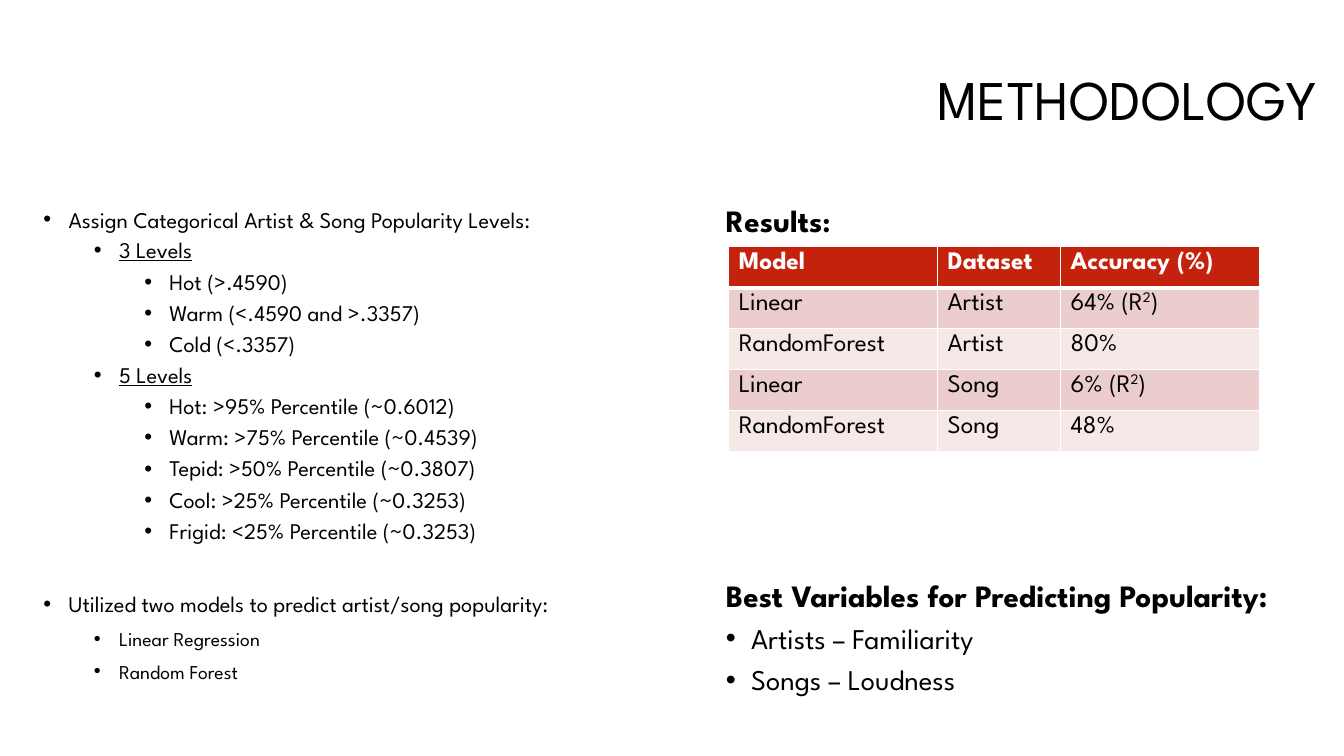
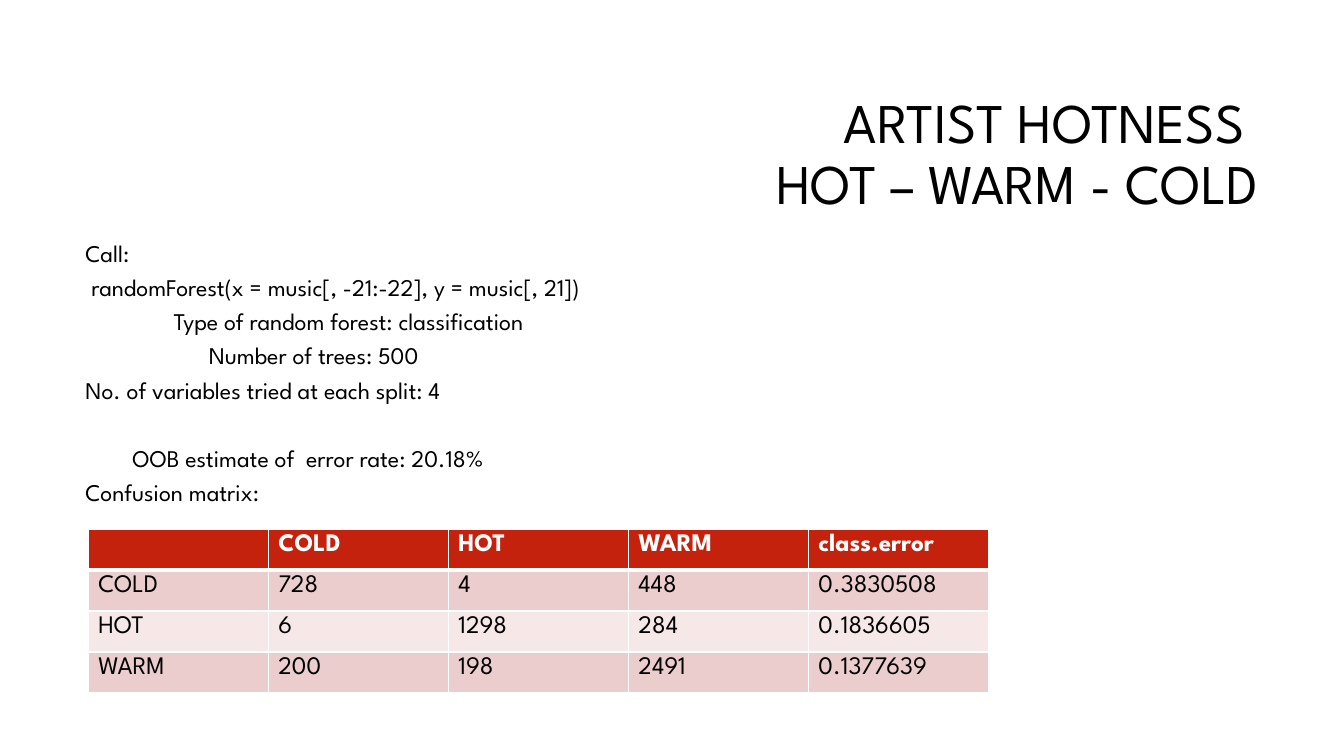
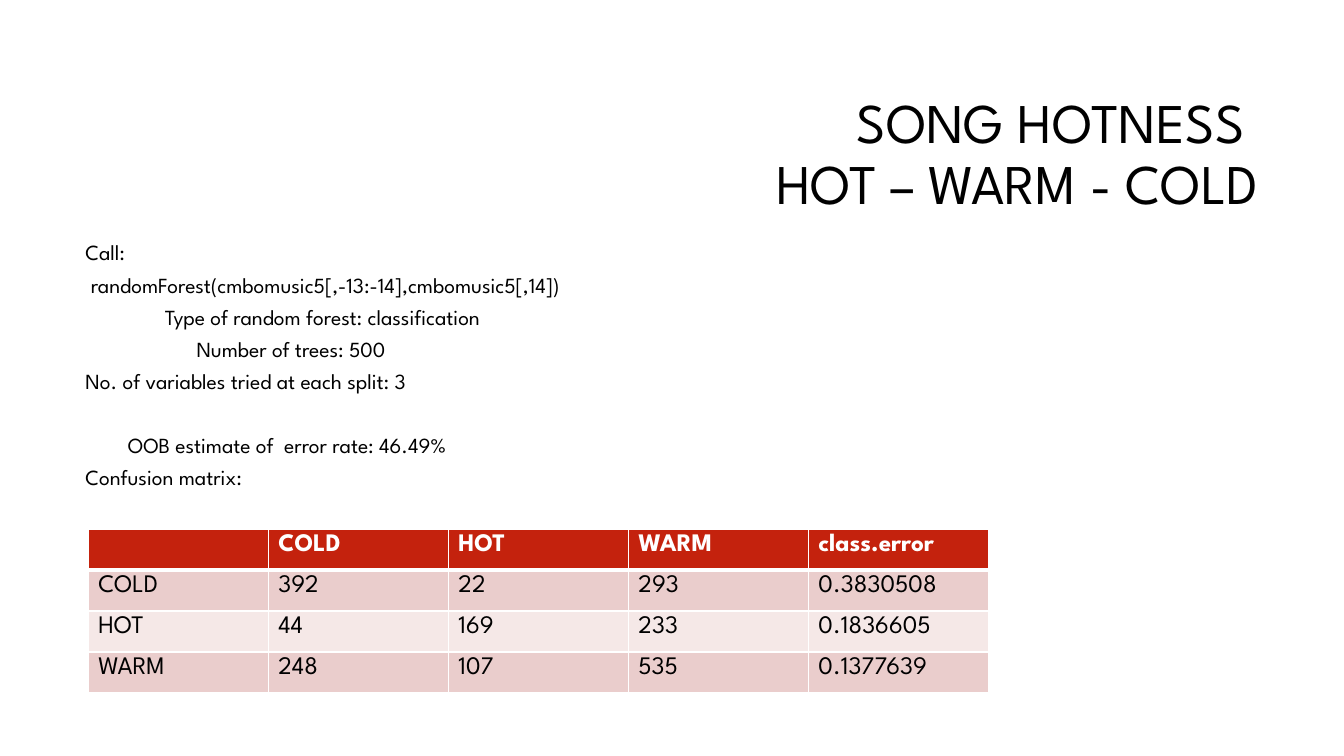
from lxml.etree import SubElement
from pptx import Presentation
from pptx.dml.color import RGBColor
from pptx.enum.text import MSO_ANCHOR, PP_ALIGN
from pptx.oxml.ns import qn
from pptx.util import Pt

# Shared style
PX = 9525
FONT = "League Spartan"
BLACK, WHITE, RED = "000000", "FFFFFF", "C4220D"
BANDS = ("EACDCC", "F5E8E7")
TITLE_SIZE, TABLE_SIZE = 40, 18
ROW_HEIGHT = 39
BULLET_HANG = 24
LINE_FACTOR = 1.2    # line height of the font, in font sizes
SPACE_WIDTH = 0.327  # width of one space, in px per point of size


def px(length):
    return round(length * PX)


def color(value):
    return RGBColor.from_string(value)


def add_span(para, text, size, fill=BLACK, bold=False, underline=False):
    span = para.add_run()
    span.text = text
    font = span.font
    font.name, font.size, font.bold = FONT, Pt(size), bold
    font.color.rgb = color(fill)
    if underline:
        font.underline = True
    return span


def add_box(page, left, top, width, height, anchor=MSO_ANCHOR.TOP, bottom_inset=5):
    frame = page.shapes.add_textbox(px(left), px(top), px(width), px(height)).text_frame
    frame.word_wrap = True
    frame.vertical_anchor = anchor
    frame.margin_bottom = px(bottom_inset)
    return frame


def add_para(frame, text, size, spacing, before=0, indent=0, level=None, **style):
    """Write one paragraph; a level gives it a bullet."""
    first = not frame.paragraphs[0].runs
    para = frame.paragraphs[0] if first else frame.add_paragraph()
    props = para._p.get_or_add_pPr()
    if level is not None:
        para.level = level
        indent = BULLET_HANG + 2 * BULLET_HANG * level
        props.set("indent", str(-px(BULLET_HANG)))
        SubElement(props, qn("a:buFont")).set("typeface", "Arial")
        SubElement(props, qn("a:buChar")).set("char", "•")
    props.set("marL", str(px(indent)))
    para.line_spacing = spacing
    para.space_before = Pt(0 if first else before)
    add_span(para, text, size, **style)


def add_title(page, lines, left, top, bottom_inset=5):
    frame = add_box(page, left, top, 904, 135, MSO_ANCHOR.MIDDLE, bottom_inset)
    para = frame.paragraphs[0]
    para.alignment = PP_ALIGN.RIGHT
    para.line_spacing = 0.9
    for number, line in enumerate(lines):
        if number:
            para.add_line_break()
        add_span(para, line, TITLE_SIZE)


def add_border(cell, side, width):
    line = SubElement(cell._tc.get_or_add_tcPr(), qn(f"a:ln{side}"))
    line.set("w", str(Pt(width)))
    fill = SubElement(line, qn("a:solidFill"))
    SubElement(fill, qn("a:srgbClr")).set("val", WHITE)


def add_grid(page, left, top, widths, rows):
    """Table with a red header; a cell given as a tuple raises every second part."""
    table = page.shapes.add_table(len(rows), len(widths), px(left), px(top),
                                  px(sum(widths)), px(ROW_HEIGHT * len(rows))).table
    for column, width in zip(table.columns, widths):
        column.width = px(width)
    for r, row in enumerate(rows):
        header = r == 0
        table.rows[r].height = px(ROW_HEIGHT)
        for c, value in enumerate(row):
            cell = table.cell(r, c)
            for side, width in (("L", 1), ("R", 1), ("T", 3 if r == 1 else 1),
                                ("B", 3 if header else 1)):
                add_border(cell, side, width)
            cell.fill.solid()
            cell.fill.fore_color.rgb = color(RED if header else BANDS[(r - 1) % 2])
            parts = value if isinstance(value, tuple) else (value,)
            for number, part in enumerate(parts):
                if not part:
                    continue
                span = add_span(cell.text_frame.paragraphs[0], part, TABLE_SIZE,
                                WHITE if header else BLACK, bold=header)
                if number % 2:
                    span._r.get_or_add_rPr().set("baseline", "30000")


def build_methodology(page):
    add_title(page, ["METHODOLOGY"], 360, 59, bottom_inset=63)

    # Popularity levels and models
    levels = add_box(page, 32, 158, 598, 531, MSO_ANCHOR.MIDDLE, bottom_inset=36)
    for level, text in (
        (0, "Assign Categorical Artist & Song Popularity Levels:"),
        (1, "3 Levels"),
        (2, "Hot (>.4590)"),
        (2, "Warm (<.4590 and >.3357)"),
        (2, "Cold (<.3357)"),
        (1, "5 Levels"),
        (2, "Hot: >95% Percentile (~0.6012)"),
        (2, "Warm: >75% Percentile (~0.4539)"),
        (2, "Tepid: >50% Percentile (~0.3807)"),
        (2, "Cool: >25% Percentile (~0.3253)"),
        (2, "Frigid: <25% Percentile (~0.3253)"),
        (0, "Utilized two models to predict artist/song popularity:"),
    ):
        add_para(levels, text, 16, 0.9 if level else 2.2, 5 if level else 10,
                 level=level, underline=level == 1)
    for model in ("Linear Regression", "Random Forest"):
        add_para(levels, model, 14, 1.1, 5, level=1)

    # Results and best variables, with room for the table between them
    results = add_box(page, 682, 194, 590, 495)
    add_para(results, "Results", 22.2, 0.8, bold=True)
    add_span(results.paragraphs[0], ":", 20.4, bold=True)
    add_para(results, "Best Variables for Predicting Popularity:", 22.2, 0.8, 246.6, bold=True)
    for text in ("Artists – Familiarity", "Songs – Loudness"):
        add_para(results, text, 20.4, 0.8, 10, level=0)
    add_grid(page, 694, 235, [199, 117, 190], [
        ("Model", "Dataset", "Accuracy (%)"),
        ("Linear", "Artist", ("64% (R", "2", ")")),
        ("RandomForest", "Artist", "80%"),
        ("Linear", "Song", ("6% (R", "2", ")")),
        ("RandomForest", "Song", "48%"),
    ])


def build_hotness(page, subject, call, tried, error_rate, size, counts):
    add_title(page, [f"{subject} HOTNESS ", "HOT – WARM - COLD"], 304, 81)

    # Model printout: indent in spaces, then text
    printout = add_box(page, 72, 230, 597, 263)
    spacing, gap = 0.7, 10
    skipped_line = size * LINE_FACTOR * spacing + gap
    for spaces, text, extra in (
        (0, "Call:", 0),
        (1, call, 0),
        (15, "Type of random forest: classification", 0),
        (21, "Number of trees: 500", 0),
        (0, f"No. of variables tried at each split: {tried}", 0),
        (8, f"OOB estimate of  error rate: {error_rate}", skipped_line),
        (0, "Confusion matrix:", 0),
    ):
        add_para(printout, text, size, spacing, round(gap + extra, 1),
                 indent=spaces * SPACE_WIDTH * size)

    # Confusion matrix
    classes = ("COLD", "HOT", "WARM")
    errors = ("0.3830508", "0.1836605", "0.1377639")
    rows = [("", *classes, "class.error")]
    for name, row, error in zip(classes, counts, errors):
        rows.append((name, *map(str, row), error))
    add_grid(page, 84, 504, [171.5] * 5, rows)


def main():
    deck = Presentation()
    deck.slide_width, deck.slide_height = px(1280), px(720)
    blank = deck.slide_layouts[6]

    build_methodology(deck.slides.add_slide(blank))
    build_hotness(deck.slides.add_slide(blank), "ARTIST",
                  "randomForest(x = music[, -21:-22], y = music[, 21])", 4, "20.18%", 17.1,
                  [(728, 4, 448), (6, 1298, 284), (200, 198, 2491)])
    build_hotness(deck.slides.add_slide(blank), "SONG",
                  "randomForest(cmbomusic5[,-13:-14],cmbomusic5[,14])", 3, "46.49%", 15.4,
                  [(392, 22, 293), (44, 169, 233), (248, 107, 535)])
    deck.save("out.pptx")


if __name__ == "__main__":
    main()
